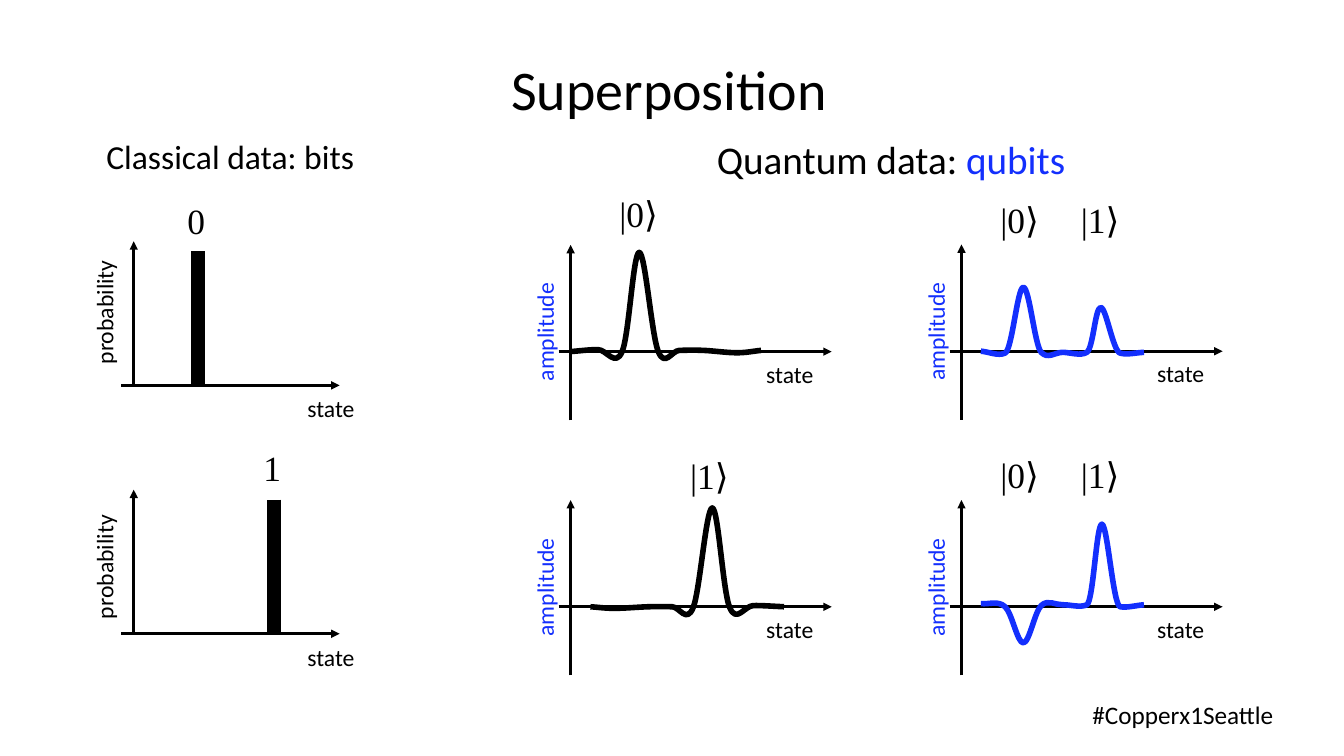
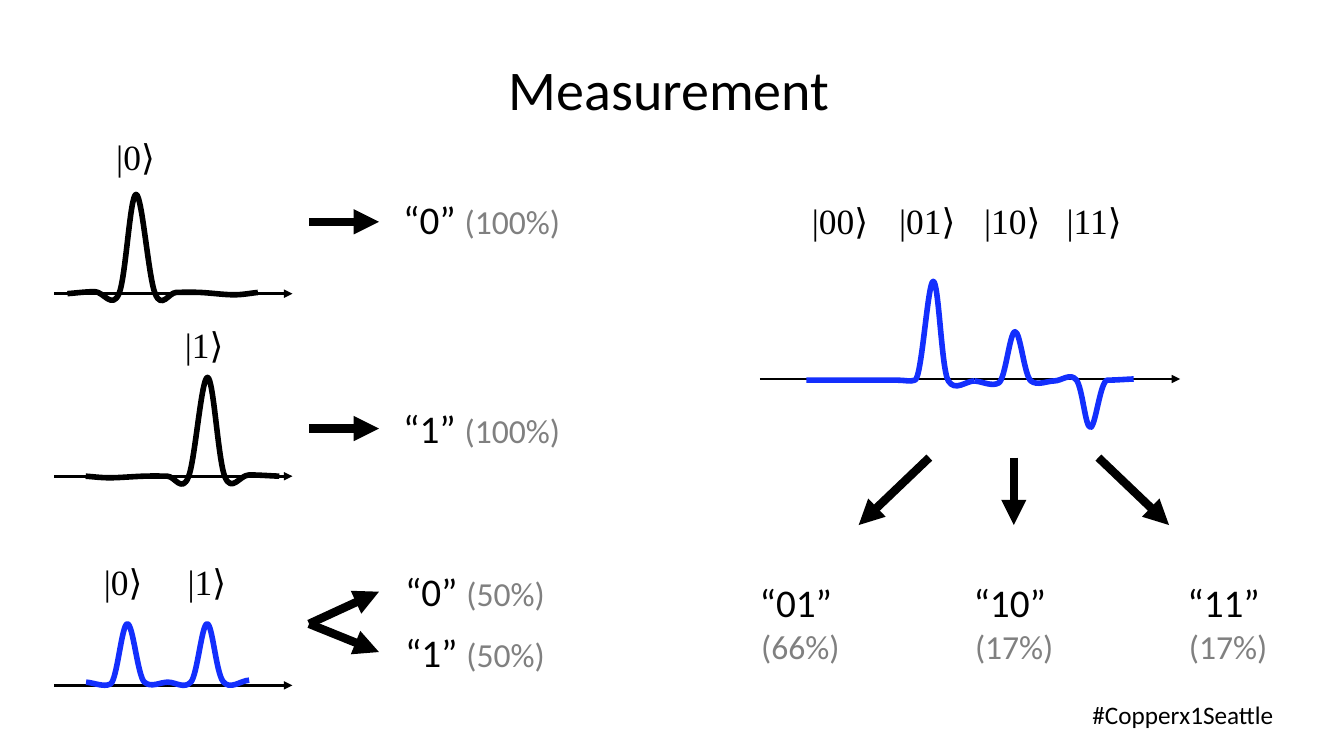
from lxml.etree import SubElement
from pptx import Presentation
from pptx.dml.color import RGBColor
from pptx.enum.shapes import MSO_CONNECTOR
from pptx.enum.text import MSO_ANCHOR, PP_ALIGN
from pptx.oxml.ns import qn
from pptx.util import Cm, Pt

LINE = MSO_CONNECTOR.STRAIGHT
LEFT, MID = PP_ALIGN.LEFT, PP_ALIGN.CENTER
CENTER = MSO_ANCHOR.MIDDLE
SANS, SERIF = "Calibri", "Times New Roman"
TINT = {"ink": "000000", "blue": "132FFD", "gray": "808080"}

WAVES = {
    "zero": [(0, 0), (0.69, -0.05), (1.3, 0), (1.73, -2.5), (2.21, 0),
             (2.74, -0.03), (3.35, -0.03), (4.19, 0.03), (4.8, -0.03)],
    "one": [(0, 0), (0.61, 0.04), (1.47, 0), (2.06, 0), (2.59, 0.02),
            (3.07, -2.49), (3.51, 0.02), (4.11, -0.03), (4.88, 0)],
    "plus": [(0, 0), (0.61, 0.05, -0.08), (1.07, -1.61), (1.52, 0.03, 0.18),
             (2.06, 0.03), (2.67, 0.03, -0.1), (3.02, -1.1),
             (3.51, 0.05, 0.05), (4.11, 0.03)],
    "minus": [(0, -0.08), (0.61, 0), (1.07, 0.91), (1.52, -0.03),
              (2.06, -0.05), (2.67, -0.05, -0.08), (3.05, -2.08),
              (3.51, 0, 0.03), (4.11, -0.05)],
    "even": [(0, -0.08), (0.61, -0.03, -0.08), (1.04, -1.55),
             (1.47, -0.08, 0.15), (2.06, -0.08), (2.64, -0.08, -0.18),
             (3.05, -1.55), (3.45, -0.1), (4.11, -0.13)],
    "high": [(0, 0.03), (2.16, 0.03, 0), (2.74, 0.03, -0.05),
             (3.2, -2.46), (3.58, 0.05, 0.28), (4.24, 0.05)],
    "low": [(0, 0.05), (0.61, 0.1, -0.1), (1.02, -1.19), (1.42, 0.05, 0.13),
            (2.01, 0.05), (2.57, 0.03, 0.2), (2.92, 1.22),
            (3.35, 0.03, 0), (4.01, 0)],
}


def rgb(name):
    return RGBColor.from_string(TINT[name])


def style(run, size, tint="ink", face=SANS):
    run.font.size = Pt(size)
    run.font.name = face
    run.font.color.rgb = rgb(tint)


def box(slide, x, y, w, h, rows, align=MID, tight=False):
    shape = slide.shapes.add_textbox(Cm(x), Cm(y), Cm(w), Cm(h))
    frame = shape.text_frame
    frame.word_wrap = True
    if tight:
        frame.margin_left = frame.margin_right = Cm(0.36)
        frame.margin_top = frame.margin_bottom = Cm(0.28)
    for i, row in enumerate(rows):
        para = frame.add_paragraph() if i else frame.paragraphs[0]
        para.alignment = align
        if tight:
            para.line_spacing = 0.9
            para.space_after = Pt(4.3)
        for text, *look in row:
            run = para.add_run()
            run.text = text
            style(run, *look)
    return shape


def label(slide, x, y, w, text, tint="ink", turn=0):
    shape = box(slide, x, y, w, 1.24, [[(text, 16.9, tint)]], tight=True)
    shape.rotation = turn


def ket(slide, x, y, state, w=1.83):
    row = [("|" + state, 25.3, "ink", SERIF), ("\u27e9", 25.3)]
    box(slide, x, y, w, 1.57, [row], LEFT, True)


def line(slide, start, end, width=2, arrow=True):
    ends = [Cm(v) for v in (*start, *end)]
    wire = slide.shapes.add_connector(LINE, *ends)
    wire.line.color.rgb = rgb("ink")
    wire.line.width = Pt(width)
    props = wire.element.spPr
    if arrow:
        SubElement(props.find(qn("a:ln")), qn("a:tailEnd"), type="triangle")
    SubElement(props, qn("a:effectLst"))


def bends(knots):
    spots = [knot[:2] for knot in knots]
    first = [2 * a - b for a, b in zip(spots[0], spots[1])]
    last = [2 * a - b for a, b in zip(spots[-1], spots[-2])]
    pulls = []
    for knot, a, b in zip(knots, [first] + spots, spots[1:] + [last]):
        rise = knot[2] if len(knot) > 2 else (b[1] - a[1]) / 6
        pulls.append(((b[0] - a[0]) / 6, rise))
    return [((a[0] + p[0], a[1] + p[1]), (b[0] - q[0], b[1] - q[1]), b)
            for a, b, p, q in zip(spots, spots[1:], pulls, pulls[1:])]


def wave(slide, name, x, y, tint="ink"):
    knots = WAVES[name]
    dots = [(Cm(x + knot[0]), Cm(y + knot[1])) for knot in knots]
    pen = slide.shapes.build_freeform(*dots[0])
    pen.add_line_segments(dots[1:], close=False)
    shape = pen.convert_to_shape()
    top = min(knot[1] for knot in knots)
    legs = list(shape.element.iter(qn("a:lnTo")))
    for leg, bend in zip(legs, bends(knots)):
        curve = SubElement(leg.getparent(), qn("a:cubicBezTo"))
        for dx, dy in bend:
            SubElement(curve, qn("a:pt"), x=str(Cm(dx)), y=str(Cm(dy - top)))
        leg.getparent().replace(leg, curve)
    shape.fill.background()
    shape.line.color.rgb = rgb(tint)
    shape.line.width = Pt(4)
    shape.shadow.inherit = False


def bit(slide, y, bar, digit, side, top):
    label(slide, 7.16, y + 0.02, 2.36, "state")
    label(slide, 0.94, side, 3.48, "probability", turn=270)
    line(slide, (3.05, y), (8.56, y))
    line(slide, (3.37, y), (3.37, y - 3.63))
    line(slide, (bar, y - 3.38), (bar, y), 10.25, False)
    box(slide, bar - 0.63, top, 1.19, 1.57,
        [[(digit, 25.3, "ink", SERIF)]], LEFT, True)


def qubit(slide, x, y, name, shift, tint="ink"):
    label(slide, x + 4.47, y, 2.11, "state")
    label(slide, x - 2.36, y - 1.11, 3.53, "amplitude", "blue", 270)
    line(slide, (x - 0.3, y), (x + 6.58, y))
    line(slide, (x, y + 1.73), (x, y - 2.69))
    wave(slide, name, x + shift, y, tint)


def result(slide, x, y, w, state, odds, split=False):
    first = (f"\u201c{state}\u201d ", 28)
    second = (f"({odds}%)", 24, "gray")
    rows = [[first], [second]] if split else [[first, second]]
    box(slide, x, y, w, 2.49 if split else 1.45, rows)


def page(deck, text):
    slide = deck.slides.add_slide(deck.slide_layouts[5])
    title = slide.shapes.title
    title.left, title.top = Cm(1.71), Cm(1.24)
    title.width, title.height = Cm(30.3), Cm(1.96)
    frame = title.text_frame
    frame.text = text
    frame.vertical_anchor = CENTER
    frame.paragraphs[0].alignment = MID
    style(frame.paragraphs[0].runs[0], 40)
    tag = box(slide, 27.28, 17.5, 5.21, 1.02,
              [[("#Copperx1Seattle", 18)]], LEFT)
    tag.text_frame.word_wrap = False
    return slide


def states(deck):
    slide = page(deck, "Superposition")
    box(slide, 1.71, 3.25, 8.18, 1.52,
        [[("Classical data: bits", 24)]], tight=True)
    box(slide, 17.63, 3.26, 9.65, 1.68,
        [[("Quantum data: ", 28), ("qubits", 28, "blue")]], tight=True)
    bit(slide, 9.71, 4.99, "0", 7.25, 4.85)
    bit(slide, 15.97, 6.91, "1", 13.67, 11.07)
    qubit(slide, 14.38, 8.86, "zero", 0)
    qubit(slide, 14.38, 15.29, "one", 0.5)
    qubit(slide, 24.23, 8.85, "plus", 0.49, "blue")
    qubit(slide, 24.23, 15.29, "minus", 0.49, "blue")
    ket(slide, 15.25, 4.67, "0")
    ket(slide, 17.03, 11.28, "1")
    for y in (4.84, 11.26):
        ket(slide, 24.85, y, "0")
        ket(slide, 26.88, y, "1")


def reads(deck):
    slide = page(deck, "Measurement")
    for name, x, y, tint in (("zero", 1.7, 7.4, "ink"),
                             ("one", 2.16, 12, "ink"),
                             ("even", 2.17, 17.27, "blue")):
        line(slide, (1.37, y), (7.37, y))
        wave(slide, name, x, y, tint)
    for x, y, state in ((2.57, 3.24, "0"), (4.3, 7.98, "1"),
                        (2.26, 13.95, "0"), (4.37, 13.95, "1")):
        ket(slide, x, y, state)
    for start, end, x, top, state, odds, w in (
            (5.59, 5.59, 9.56, 4.8, "0", 100, 5.16),
            (10.8, 10.8, 9.56, 10.07, "1", 100, 5.16),
            (15.72, 14.91, 9.58, 14.18, "0", 50, 4.78),
            (15.72, 16.43, 9.58, 15.72, "1", 50, 4.78)):
        line(slide, (7.79, start), (9.55, end), 6)
        result(slide, x, top, w, state, odds)

    line(slide, (19.15, 9.55), (29.74, 9.55))
    wave(slide, "high", 20.32, 9.55, "blue")
    wave(slide, "low", 24.56, 9.55, "blue")
    for x, state in ((20.1, "00"), (22.3, "01"),
                     (24.44, "10"), (26.52, "11")):
        ket(slide, x, 4.86, state, 2.62)
    for i, (state, odds) in enumerate((("01", 66), ("10", 17), ("11", 17))):
        side = i - 1
        line(slide, (25.55 + 2.13 * side, 11.53),
             (25.55 + 3.91 * side, 13.23), 6)
        result(slide, 17.78 + 5.39 * i, 14.45, 4.78, state, odds, True)


def main():
    deck = Presentation()
    deck.slide_width, deck.slide_height = Cm(33.87), Cm(19.05)
    states(deck)
    reads(deck)
    deck.save("out.pptx")


main()
